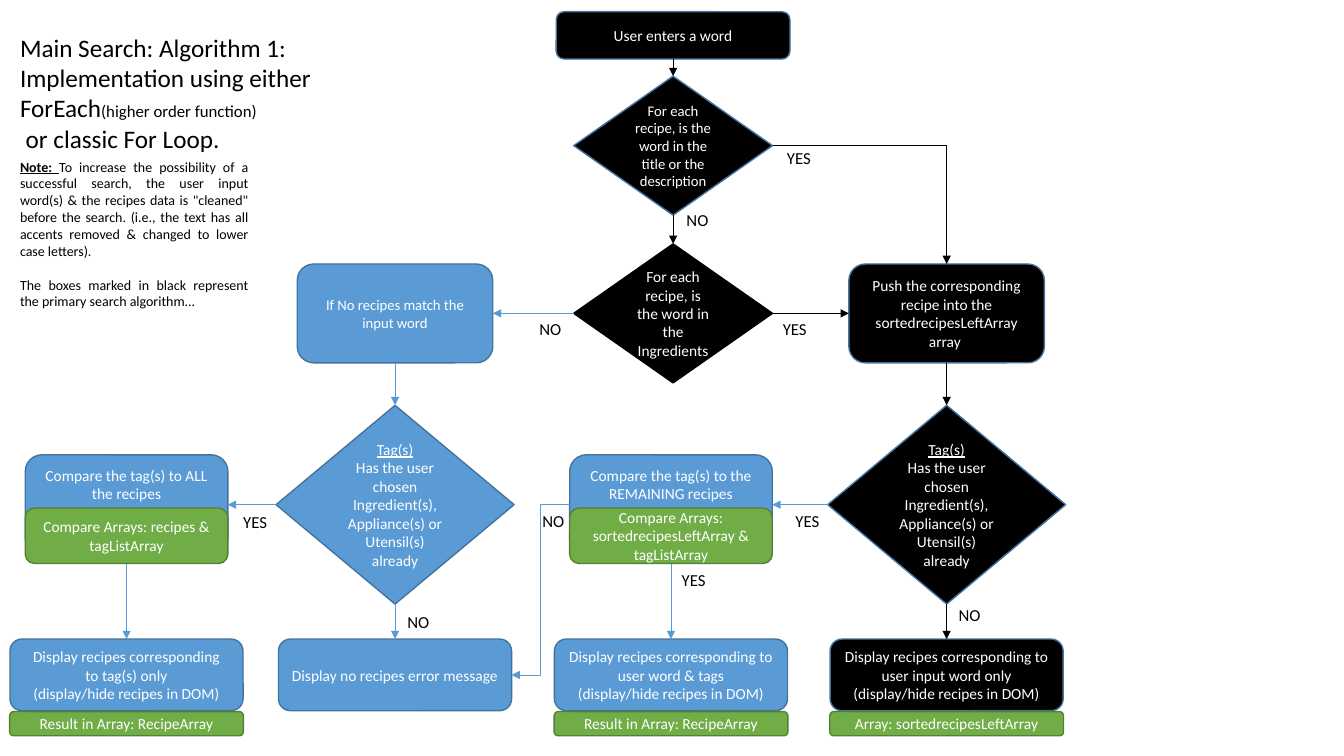
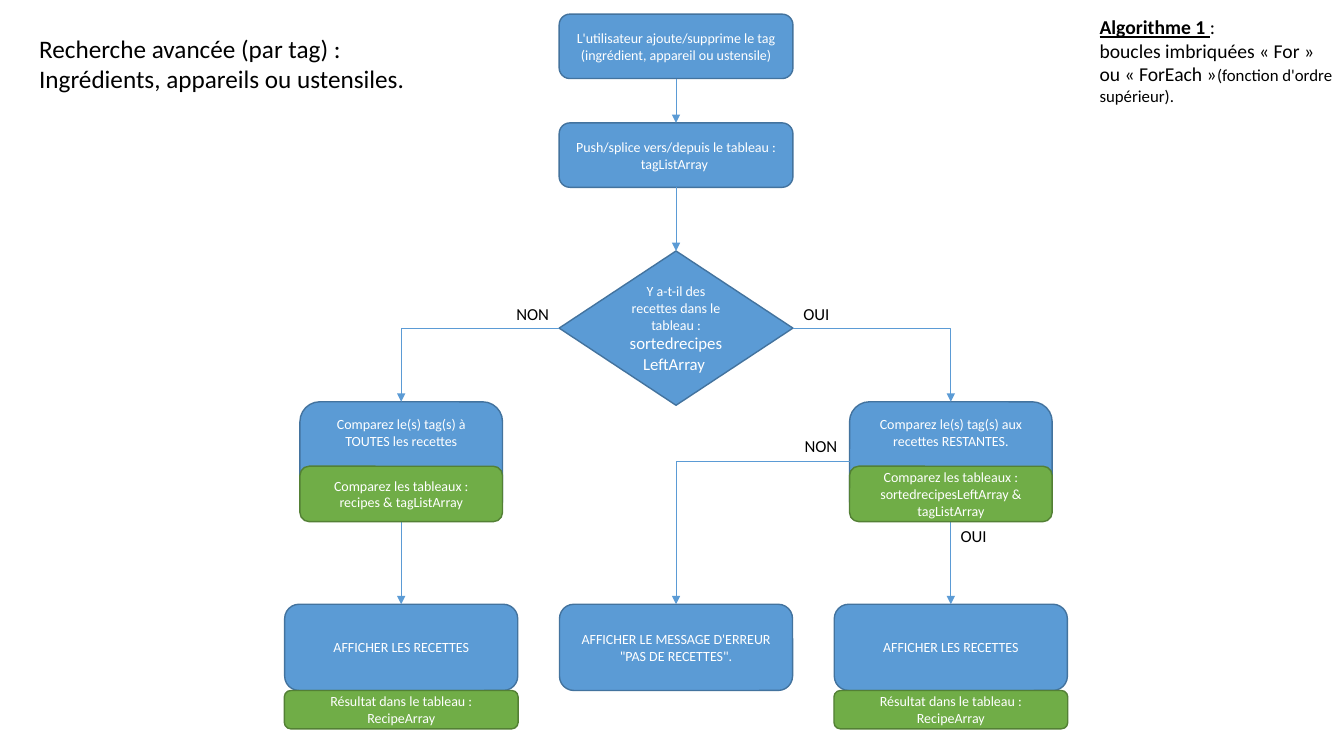
"""Build two flowchart slides describing the recipe search and the tag search."""
import pptx
import pptx.util
import pptx.dml.color
import pptx.enum.shapes
import pptx.enum.text
import pptx.oxml
import pptx.oxml.ns

Pt = pptx.util.Pt
SHAPES = pptx.enum.shapes.MSO_SHAPE
ALIGN = pptx.enum.text.PP_ALIGN
ANCHOR = pptx.enum.text.MSO_ANCHOR

THEME = {
    "font": "Calibri",
    "ink": "000000",
    "paper": "FFFFFF",
    "fills": {
        "black": ("000000", "43739E"),
        "solid": ("000000", "000000"),
        "blue": ("5B9BD5", "43739E"),
        "green": ("70AD47", "538035"),
    },
    "outline": 1,
    "arrow": 0.5,
    "title": 18,
    "subtitle": 14,
    "label": 12,
    "box": 11,
    "tight": 10.5,
    "small": 10,
}
LABEL_SIZE = (42, 21.6)
SITES = {"top": 0, "left": 1, "bottom": 2, "right": 3}

TAG_QUESTION = [
    [("Tag(s)", {"underline": True})],
    "Has the user chosen",
    "Ingredient(s), Appliance(s) or Utensil(s) already",
]
DOM = "(display/hide recipes in DOM)"
SMALL_PRINT = {"size": Pt(THEME["label"])}
KEY_WORD = {"bold": True, "underline": True}

SEARCH = {
    "size": "box",
    "kinds": {
        "start": ("round", 167, 33.8, 0),
        "question": ("diamond", 142, 99.3, 0),
        "step": ("round", 139.7, 70.6, 0),
        "tags": ("diamond", 170, 142, 0),
        "compare": ("round", 144.7, 71.2, 29.3),
        "arrays": ("round", 144.7, 39.6, 0),
        "display": ("round", 166.5, 51.2, 0),
        "result": ("round", 167, 17.3, 0),
    },
    "columns": {"all": 90.4, "none": 282.2, "both": 479.3, "main": 480.8, "word": 676.2},
    "rows": {"start": 8.4, "question": 54.4, "second": 174.2, "step": 188.55,
             "tags": 289.5, "compare": 324.9, "arrays": 362.9,
             "display": 456.5, "result": 508.3},
    "boxes": [
        ("start", "start", "main", "start", "black", ["User enters a word"]),
        ("title", "question", "main", "question", "black",
         [[("For each recipe, is the word in the title or the description",
            {"size": Pt(THEME["tight"])})]]),
        ("ingredients", "question", "main", "second", "solid",
         ["For each recipe, is the word in the Ingredients"]),
        ("no match", "step", "none", "step", "blue",
         [[("If No recipes match the input word", {"size": Pt(THEME["tight"])})]]),
        ("push", "step", "word", "step", "black",
         ["Push the corresponding recipe into the sortedrecipesLeftArray", "array "]),
        ("tags none", "tags", "none", "tags", "blue", TAG_QUESTION),
        ("tags word", "tags", "word", "tags", "black", TAG_QUESTION),
        ("compare all", "compare", "all", "compare", "blue",
         ["Compare the tag(s) to ALL the recipes"]),
        ("compare rest", "compare", "both", "compare", "blue",
         ["Compare the tag(s) to the REMAINING recipes"]),
        ("show tags", "display", "all", "display", "blue",
         ["Display recipes corresponding to\u00a0tag(s) only", DOM]),
        ("error", "display", "none", "display", "blue",
         ["Display no recipes error message"]),
        ("show both", "display", "both", "display", "blue",
         ["Display recipes corresponding to user word & tags", DOM]),
        ("show word", "display", "word", "display", "black",
         ["Display recipes corresponding to user input word only", DOM]),
    ],
    "chips": [
        ("arrays all", "arrays", "all", "arrays", "green",
         ["Compare Arrays: recipes &", "tagListArray"]),
        ("arrays rest", "arrays", "both", "arrays", "green",
         ["Compare Arrays: sortedrecipesLeftArray &", "tagListArray"]),
        ("result tags", "result", "all", "result", "green",
         ["Result in Array: RecipeArray"]),
        ("result both", "result", "both", "result", "green",
         ["Result in Array: RecipeArray"]),
        ("result word", "result", "word", "result", "green",
         ["Array: sortedrecipesLeftArray"]),
    ],
    "arrows": [
        ("start", "bottom", "title", "top", "black", "line"),
        ("title", "bottom", "ingredients", "top", "black", "line"),
        ("title", "right", "push", "top", "black", "bentConnector2"),
        ("ingredients", "right", "push", "left", "black", "line"),
        ("ingredients", "left", "no match", "right", "blue", "line"),
        ("push", "bottom", "tags word", "top", "black", "line"),
        ("no match", "bottom", "tags none", "top", "blue", "line"),
        ("tags none", "left", "compare all", "right", "blue", "line"),
        ("tags word", "left", "compare rest", "right", "blue", "line"),
        ("compare rest", "left", "error", "right", "blue", "bentConnector3"),
        ("compare all", "bottom", "show tags", "top", "blue", "line"),
        ("tags none", "bottom", "error", "top", "blue", "line"),
        ("compare rest", "bottom", "show both", "top", "blue", "line"),
        ("tags word", "bottom", "show word", "top", "black", "line"),
    ],
    "labels": [
        ("YES", 570.6, 102.2), ("NO", 498.2, 146.2), ("NO", 393.1, 223.9),
        ("YES", 567.7, 223.9), ("YES", 182.2, 362.2), ("NO", 395.3, 361.4),
        ("YES", 576.7, 361.4), ("NO", 298.8, 433.4), ("YES", 495.4, 403.2),
        ("NO", 692.6, 428.4),
    ],
    "texts": [
        ((7.2, 19.4, 239, 94.3), "title", ALIGN.LEFT, 0, [
            "Main Search: Algorithm 1:",
            [("Implementation using either ForEach", {}),
             ("(higher order function)", SMALL_PRINT)],
            " or classic For Loop.",
        ]),
        ((7.2, 109.4, 177.2, 128.2), "small", ALIGN.JUSTIFY, 12.2, [
            [("Note: ", KEY_WORD),
             ("To increase the possibility of a successful search, the user input "
              "word(s) & the recipes data is \"cleaned\" before the search. (i.e., the "
              "text has all accents removed & changed to lower case letters).", {})],
            "The boxes marked in black represent the primary search algorithm...",
        ]),
    ],
}

TAG_SEARCH = {
    "size": "small",
    "kinds": {
        "step": ("round", 167, 46, 0),
        "question": ("diamond", 167, 110.2, 0),
        "compare": ("round", 144.7, 85, 41.5),
        "arrays": ("round", 144.7, 39.6, 0),
        "display": ("round", 166.5, 61.6, 0),
        "result": ("round", 167, 27.4, 0),
    },
    "columns": {"all": 286.6, "main": 482.9, "rest": 679.2},
    "rows": {"start": 10.1, "push": 87.8, "question": 179.3, "compare": 287,
             "arrays": 333, "display": 431.6, "result": 493.2},
    "boxes": [
        ("start", "step", "main", "start", "blue",
         ["L'utilisateur ajoute/supprime le tag", "(ingrédient, appareil ou ustensile)"]),
        ("push", "step", "main", "push", "blue",
         ["Push/splice vers/depuis le tableau : tagListArray "]),
        ("question", "question", "main", "question", "blue",
         [[("Y a-t-il des recettes dans le tableau : ", {}),
           ("sortedrecipesLeftArray ", SMALL_PRINT)]]),
        ("compare all", "compare", "all", "compare", "blue",
         ["Comparez le(s) tag(s) à TOUTES les recettes"]),
        ("compare rest", "compare", "rest", "compare", "blue",
         ["Comparez le(s) tag(s) aux recettes RESTANTES."]),
        ("show all", "display", "all", "display", "blue", ["AFFICHER LES RECETTES"]),
        ("error", "display", "main", "display", "blue",
         ["AFFICHER LE MESSAGE D'ERREUR \"PAS DE RECETTES\"."]),
        ("show rest", "display", "rest", "display", "blue", ["AFFICHER LES RECETTES"]),
    ],
    "chips": [
        ("arrays all", "arrays", "all", "arrays", "green",
         ["Comparez les tableaux : recipes & tagListArray"]),
        ("arrays rest", "arrays", "rest", "arrays", "green",
         ["Comparez les tableaux : sortedrecipesLeftArray &", "tagListArray"]),
        ("result all", "result", "all", "result", "green",
         ["Résultat dans le tableau : RecipeArray"]),
        ("result rest", "result", "rest", "result", "green",
         ["Résultat dans le tableau : RecipeArray"]),
    ],
    "arrows": [
        ("start", "bottom", "push", "top", "blue", "line"),
        ("push", "bottom", "question", "top", "blue", "line"),
        ("question", "left", "compare all", "top", "blue", "bentConnector2"),
        ("question", "right", "compare rest", "top", "blue", "bentConnector2"),
        ("compare rest", "left", "error", "top", "blue", "bentConnector2"),
        ("compare all", "bottom", "show all", "top", "blue", "line"),
        ("compare rest", "bottom", "show rest", "top", "blue", "line"),
    ],
    "labels": [("NON", 380.5, 213.1), ("OUI", 583.2, 213.1),
               ("NON", 586.4, 307.4), ("OUI", 695.5, 372.2)],
    "texts": [
        ((20.9, 20.2, 288.7, 51.1), "title", ALIGN.LEFT, 0, [
            "Recherche avancée (par tag) :",
            "Ingrédients, appareils ou ustensiles.",
        ]),
        ((778.3, 7.2, 181.4, 72.7), "subtitle", ALIGN.LEFT, 0, [
            [("Algorithme 1 ", KEY_WORD), (":", {})],
            [("boucles imbriquées «\u00a0For\u00a0» ou «\u00a0ForEach\u00a0»", {}),
             ("(fonction d'ordre supérieur).", SMALL_PRINT)],
        ]),
    ],
}


def colour(code):
    return pptx.dml.color.RGBColor.from_string(code)


def apply(target, values):
    for name, value in values.items():
        setattr(target, name, value)


def write(shape, paragraphs, size, ink, align, gap=0, **frame_values):
    frame = shape.text_frame
    apply(frame, {"word_wrap": True, **frame_values})
    for index, runs in enumerate(paragraphs):
        paragraph = frame.add_paragraph() if index else frame.paragraphs[0]
        apply(paragraph, {"alignment": align, "space_before": Pt(gap if index else 0)})
        for text, changes in [(runs, {})] if isinstance(runs, str) else runs:
            run = paragraph.add_run()
            run.text = text
            apply(run.font, {"name": THEME["font"], "size": Pt(THEME[size]), **changes})
            run.font.color.rgb = colour(ink)


def add_box(slide, chart, kind, column, row, fill, paragraphs):
    form, width, height, covered = chart["kinds"][kind]
    preset = SHAPES.DIAMOND if form == "diamond" else SHAPES.ROUNDED_RECTANGLE
    left = chart["columns"][column] - width / 2
    shape = slide.shapes.add_shape(
        preset, Pt(left), Pt(chart["rows"][row]), Pt(width), Pt(height))
    shape.shadow.inherit = False
    inside, edge = THEME["fills"][fill]
    shape.fill.solid()
    shape.fill.fore_color.rgb = colour(inside)
    shape.line.color.rgb = colour(edge)
    shape.line.width = Pt(THEME["outline"])
    write(shape, paragraphs, chart["size"], THEME["paper"], ALIGN.CENTER,
          vertical_anchor=ANCHOR.MIDDLE, margin_bottom=Pt(3.6 + covered))
    return shape


def add_arrow(slide, source, exit_side, target, entry_side, fill, route):
    types = pptx.enum.shapes.MSO_CONNECTOR
    connector = slide.shapes.add_connector(
        types.STRAIGHT if route == "line" else types.ELBOW, 0, 0, 0, 0)
    connector.begin_connect(source, SITES[exit_side])
    connector.end_connect(target, SITES[entry_side])
    connector.line.color.rgb = colour(THEME["fills"][fill][0])
    connector.line.width = Pt(THEME["arrow"])
    properties = connector.element.spPr
    properties.find(pptx.oxml.ns.qn("a:prstGeom")).set("prst", route)
    namespace = pptx.oxml.ns.nsdecls("a")
    properties.find(pptx.oxml.ns.qn("a:ln")).append(
        pptx.oxml.parse_xml(f'<a:tailEnd {namespace} type="triangle"/>'))
    properties.append(pptx.oxml.parse_xml(f"<a:effectLst {namespace}/>"))


def add_text(slide, place, *content):
    box = slide.shapes.add_textbox(*map(Pt, place))
    write(box, *content)


def build_slide(presentation, chart):
    slide = presentation.slides.add_slide(presentation.slide_layouts[6])
    boxes = {name: add_box(slide, chart, *rest) for name, *rest in chart["boxes"]}
    for source, exit_side, target, *rest in chart["arrows"]:
        add_arrow(slide, boxes[source], exit_side, boxes[target], *rest)
    for name, *rest in chart["chips"]:
        add_box(slide, chart, *rest)
    width, height = LABEL_SIZE
    for text, centre, top in chart["labels"]:
        add_text(slide, (centre - width / 2, top, width, height), [text], "label",
                 THEME["ink"], ALIGN.CENTER)
    for place, size, align, gap, paragraphs in chart["texts"]:
        add_text(slide, place, paragraphs, size, THEME["ink"], align, gap)


presentation = pptx.Presentation()
apply(presentation, {"slide_width": Pt(960), "slide_height": Pt(540)})
for chart in (SEARCH, TAG_SEARCH):
    build_slide(presentation, chart)
presentation.save("out.pptx")
